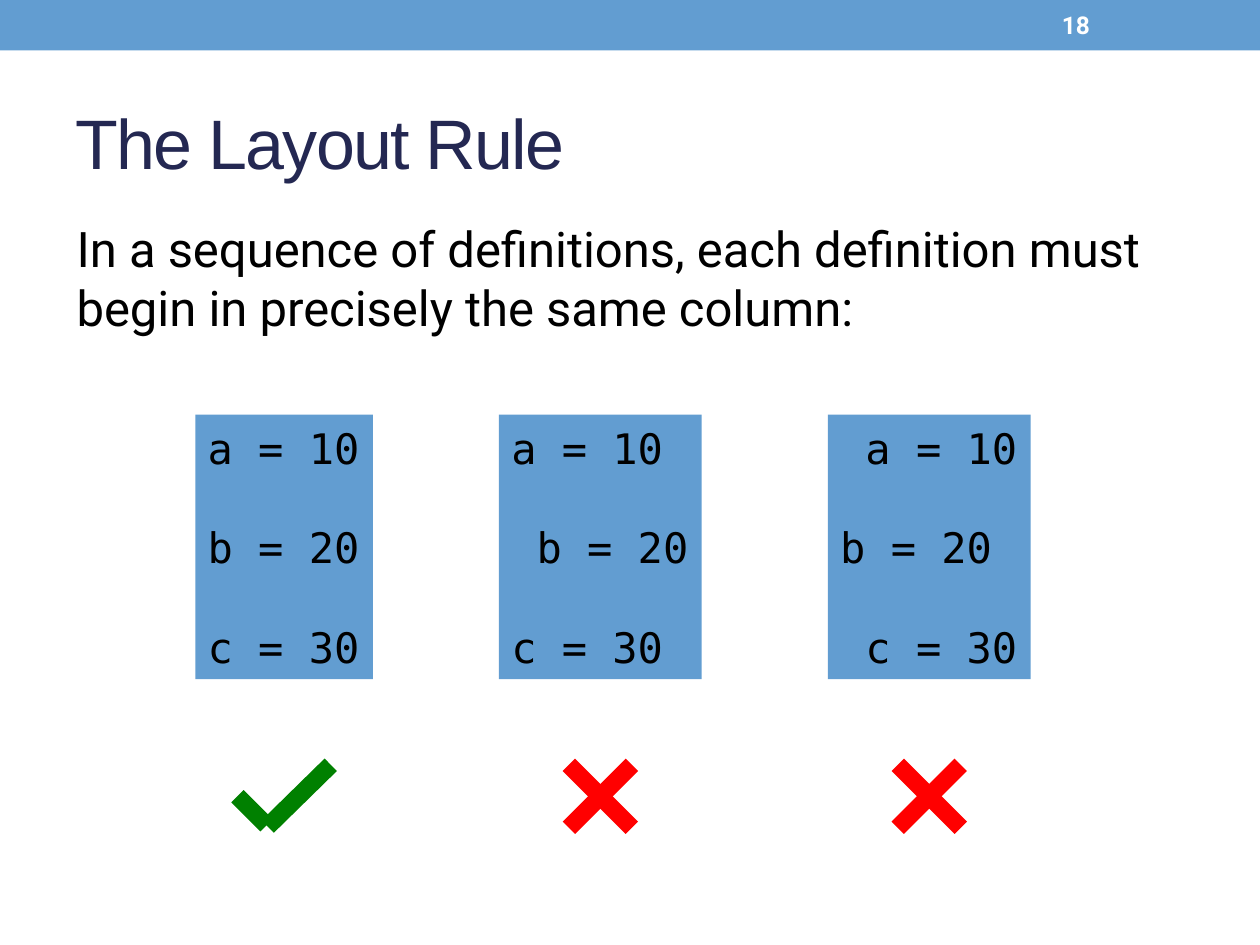
from lxml.etree import SubElement
from pptx import Presentation
from pptx.dml.color import RGBColor
from pptx.enum.shapes import MSO_CONNECTOR as CONN, MSO_SHAPE as SHAPE
from pptx.enum.text import MSO_ANCHOR as ANCHOR, PP_ALIGN as ALIGN
from pptx.oxml.ns import qn
from pptx.util import Inches, Pt

BLUE = RGBColor(0x62, 0x9D, 0xD1)
NAVY = RGBColor(0x24, 0x28, 0x52)
BLACK = RGBColor(0, 0, 0)
WHITE = RGBColor(0xFF, 0xFF, 0xFF)
RED = RGBColor(0xFF, 0, 0)
GREEN = RGBColor(0, 0x80, 0)

WIDTH, HEIGHT = 10, 7.5
FIRST_LEFT, CODE_TOP, CODE_HEIGHT, GAP = 1.55, 3.29, 2.1, 1
CHAR_WIDTH, CODE_PADDING = 0.2, 0.21
MARK_Y = 6.32

# Strokes as x1, y1, x2, y2 from the centre of the mark
CROSS = [(-0.25, -0.25, 0.25, 0.25), (0.25, -0.25, -0.25, 0.25)]
CHECK = [(0.37, -0.25, -0.13, 0.24), (-0.37, 0, -0.14, 0.23)]

EXAMPLES = [
    (["a = 10", "b = 20", "c = 30"], CHECK, GREEN),
    (["a = 10", " b = 20", "c = 30"], CROSS, RED),
    ([" a = 10", "b = 20", " c = 30"], CROSS, RED),
]


def box(x, y, w, h):
    return [Inches(v) for v in (x, y, w, h)]


def write(tf, lines, font, size, color, bold=False, gap=0, wrap=True):
    """Fill a text frame, left aligned, with gap points between the lines."""
    tf.text = "\n".join(lines)
    tf.word_wrap = wrap
    tf.vertical_anchor = ANCHOR.MIDDLE
    for i, p in enumerate(tf.paragraphs):
        p.alignment = ALIGN.LEFT
        p.space_before = Pt(gap if i else 0)
        for r in p.runs:
            r.font.name, r.font.size, r.font.bold = font, Pt(size), bold
            r.font.color.rgb = color


def add_title(slide, text):
    sp = slide.shapes.title
    sp.left, sp.top, sp.width, sp.height = box(0.5, 0.58, 0.9 * WIDTH, 1.08)
    write(sp.text_frame, [text], "Arial", 40, NAVY)
    sp.text_frame.paragraphs[0].runs[0].font._element.set("spc", "-100")


def add_text(slide, place, text, size, color, bold=False):
    sp = slide.shapes.add_textbox(*box(*place))
    write(sp.text_frame, [text], "Roboto", size, color, bold)


def add_panel(shapes, *place):
    sp = shapes.add_shape(SHAPE.RECTANGLE, *box(*place))
    sp.shadow.inherit = False
    sp.fill.solid()
    sp.fill.fore_color.rgb = BLUE
    sp.line.fill.background()
    return sp


def add_mark(shapes, center_x, strokes, color):
    for x1, y1, x2, y2 in strokes:
        line = shapes.add_connector(CONN.STRAIGHT, *box(
            center_x + x1, MARK_Y + y1, center_x + x2, MARK_Y + y2))
        line.line.color.rgb = color
        line.line.width = Pt(10)
        SubElement(line._element.spPr, qn("a:effectLst"))


def add_examples(slide):
    left = FIRST_LEFT
    for code, strokes, color in EXAMPLES:
        width = max(map(len, code)) * CHAR_WIDTH + CODE_PADDING
        shapes = slide.shapes.add_group_shape().shapes
        panel = add_panel(shapes, left, CODE_TOP, width, CODE_HEIGHT)
        write(panel.text_frame, code, "DejaVu Sans Mono", 24, BLACK,
              gap=28, wrap=False)
        add_mark(shapes, left + width / 2, strokes, color)
        left += width + GAP


def main():
    prs = Presentation()
    prs.slide_width, prs.slide_height = Inches(WIDTH), Inches(HEIGHT)
    slide = prs.slides.add_slide(prs.slide_layouts[5])
    add_panel(slide.shapes, 0, 0, WIDTH, 0.4)
    add_title(slide, "The Layout Rule")
    add_text(slide, (8.33, 0.02, 1.17, 0.36), "18", 14, WHITE, bold=True)
    add_text(slide, (0.51, 1.69, 9.03, 1.03),
             "In a sequence of definitions, each definition must begin in "
             "precisely the same column:", 28, BLACK)
    add_examples(slide)
    prs.save("out.pptx")


if __name__ == "__main__":
    main()
